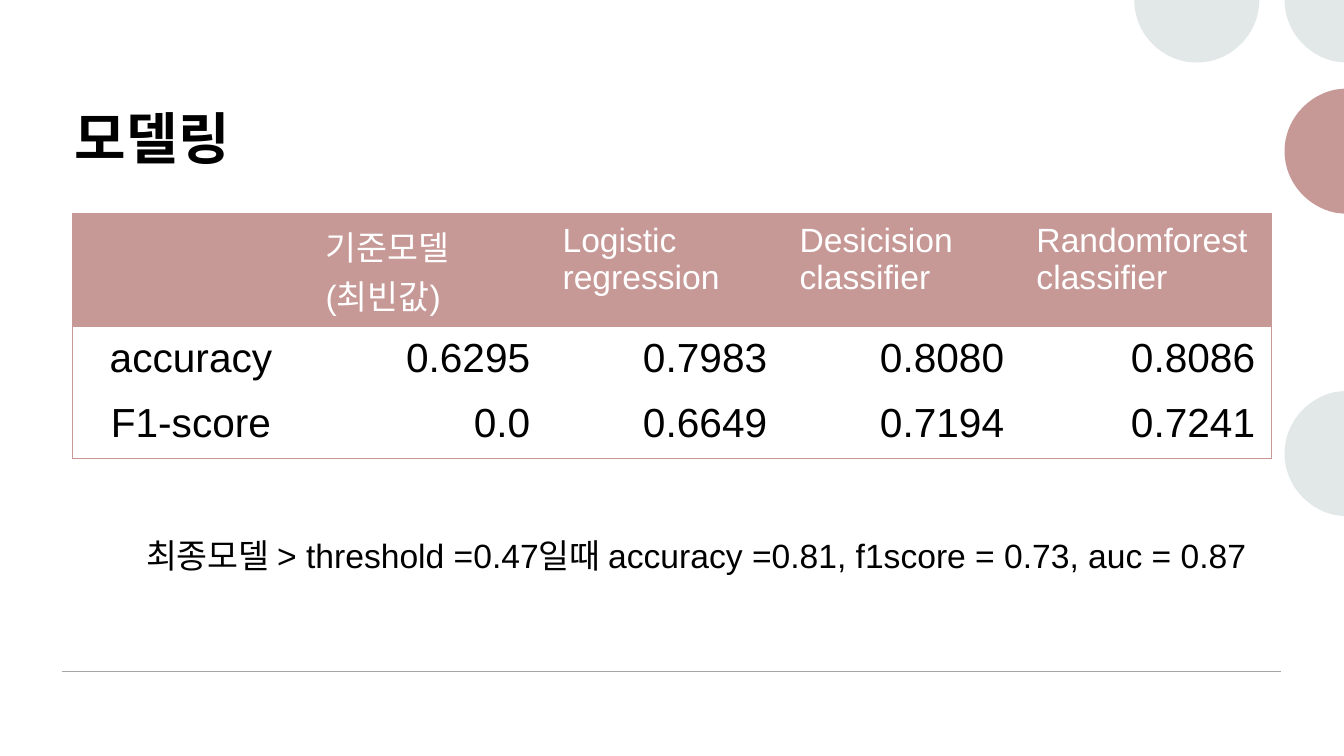
from lxml import etree
from pptx import Presentation
from pptx import util as u
from pptx.dml.color import RGBColor
from pptx.enum import shapes, text
from pptx.oxml import ns

WIDTH, HEIGHT = 13.33, 7.5
ROSE, MIST, GREY = "C69896", "E2E8E8", "A6A6A6"
BLACK, WHITE = "000000", "FFFFFF"
LEFT, CENTER, RIGHT = text.PP_ALIGN.LEFT, text.PP_ALIGN.CENTER, text.PP_ALIGN.RIGHT

HEADINGS = ["", "기준모델\n(최빈값)", "Logistic\nregression",
            "Desicision\nclassifier", "Randomforest\vclassifier"]
SCORES = [
    ["accuracy", "0.6295", "0.7983", "0.8080", "0.8086"],
    ["F1-score", "0.0", "0.6649", "0.7194", "0.7241"],
]
ROW_SIDES = ["T", "TB", "B"]


def color(value):
    return RGBColor.from_string(value)


class ModelPage:
    """Holds the style and the slide being built."""

    font = "Arial"

    def __init__(self, deck):
        self.page = deck.slides.add_slide(deck.slide_layouts[5])
        fill = self.page.background.fill
        fill.solid()
        fill.fore_color.rgb = color(WHITE)

    def style(self, frame, size, ink, align=LEFT, bold=False):
        for para in frame.paragraphs:
            para.alignment = align
            for span in para.runs:
                span.font.name = self.font
                span.font.size = u.Pt(size)
                span.font.bold = bold
                span.font.color.rgb = color(ink)

    def title(self, words, left, top, width, height):
        box = self.page.shapes.title
        box.left, box.top = u.Inches(left), u.Inches(top)
        box.width, box.height = u.Inches(width), u.Inches(height)
        frame = box.text_frame
        frame.text = words
        frame.word_wrap = True
        frame.auto_size = text.MSO_AUTO_SIZE.NONE
        frame.vertical_anchor = text.MSO_ANCHOR.TOP
        frame.margin_left = frame.margin_right = frame.margin_top = u.Inches(0.12)
        frame.margin_bottom = u.Inches(0.1)
        self.style(frame, 40, BLACK, bold=True)
        para = frame.paragraphs[0]
        para.line_spacing = 1.1
        para.space_before = u.Pt(0)
        para.runs[0].font._element.set("spc", "50")

    def outline(self, corners, curve, fill):
        """Join straight corners, then a curve of three points per Bézier piece."""
        points = [(u.Inches(x), u.Inches(y)) for x, y in corners + curve]
        builder = self.page.shapes.build_freeform(*points[0], scale=1.0)
        builder.add_line_segments(points[1:], close=True)
        shape = builder.convert_to_shape()
        lines = list(shape._element.iter(ns.qn("a:lnTo")))[len(corners) - 1:]
        for first in range(0, len(curve), 3):
            piece = lines[first:first + 3]
            bezier = etree.Element(ns.qn("a:cubicBezTo"))
            piece[0].addprevious(bezier)
            for line in piece:
                bezier.append(line[0])
                line.getparent().remove(line)
        shape.shadow.inherit = False
        shape.fill.solid()
        shape.fill.fore_color.rgb = color(fill)
        shape.line.fill.background()

    def top_disc(self, x, fill):
        """Lower half of a circle centred on the top edge."""
        self.outline([(x - 0.62, 0), (x + 0.62, 0)],
                     [(x + 0.62, 0.34), (x + 0.34, 0.62), (x, 0.62),
                      (x - 0.34, 0.62), (x - 0.62, 0.34), (x - 0.62, 0)], fill)

    def corner_disc(self, fill):
        self.outline([(12.74, 0), (WIDTH, 0), (WIDTH, 0.62), (13.24, 0.61)],
                     [(12.96, 0.55), (12.74, 0.3), (12.74, 0)], fill)

    def side_disc(self, y, fill):
        """Left half of a circle centred near the right edge."""
        self.outline([(WIDTH, y - 0.62), (WIDTH, y + 0.62), (13.24, y + 0.61)],
                     [(12.96, y + 0.55), (12.74, y + 0.3), (12.74, y),
                      (12.74, y - 0.3), (12.96, y - 0.55), (13.24, y - 0.61)], fill)

    def rule(self, x1, x2, y):
        line = self.page.shapes.add_connector(
            shapes.MSO_CONNECTOR.STRAIGHT,
            u.Inches(x1), u.Inches(y), u.Inches(x2), u.Inches(y))
        line.line.color.rgb = color(GREY)
        line.line.width = u.Pt(1)
        etree.SubElement(line._element.spPr, ns.qn("a:effectLst"))

    def borders(self, cell, sides):
        """Draw the given sides (of L, R, T, B) and clear the others."""
        properties = cell._tc.get_or_add_tcPr()
        for side in "LRTB":
            edge = etree.SubElement(properties, ns.qn(f"a:ln{side}"))
            if side in sides:
                edge.set("w", str(u.Pt(0.5)))
                paint = etree.SubElement(edge, ns.qn("a:solidFill"))
                etree.SubElement(paint, ns.qn("a:srgbClr")).set("val", ROSE)
            else:
                etree.SubElement(edge, ns.qn("a:noFill"))

    def table(self, rows, left, top, widths, heights):
        grid = self.page.shapes.add_table(
            len(rows), len(widths), u.Inches(left), u.Inches(top),
            u.Inches(sum(widths)), u.Inches(sum(heights))).table
        for column, width in zip(grid.columns, widths):
            column.width = u.Inches(width)
        last = len(widths) - 1
        for r, row in enumerate(rows):
            grid.rows[r].height = u.Inches(heights[r])
            for c, words in enumerate(row):
                cell = grid.cell(r, c)
                cell.margin_left = cell.margin_right = u.Inches(0.16)
                cell.margin_top = cell.margin_bottom = u.Inches(0.08)
                cell.text_frame.text = words
                ends = {0: "L", last: "R"}
                self.borders(cell, ROW_SIDES[r] + ends.get(c, ""))
                cell.fill.solid()
                cell.fill.fore_color.rgb = color(WHITE if r else ROSE)
                if r == 0:
                    self.style(cell.text_frame, 24, WHITE)
                else:
                    self.style(cell.text_frame, 29, BLACK, RIGHT if c else CENTER)

    def note(self, words, left, top, width, height):
        box = self.page.shapes.add_textbox(
            u.Inches(left), u.Inches(top), u.Inches(width), u.Inches(height))
        frame = box.text_frame
        frame.text = words
        frame.word_wrap = True
        frame.auto_size = text.MSO_AUTO_SIZE.SHAPE_TO_FIT_TEXT
        self.style(frame, 24, BLACK)


def main():
    deck = Presentation()
    deck.slide_width, deck.slide_height = u.Inches(WIDTH), u.Inches(HEIGHT)
    page = ModelPage(deck)
    page.title("모델링", 0.62, 0.84, 4.97, 1.74)
    page.top_disc(11.87, MIST)
    page.side_disc(4.5, MIST)
    page.side_disc(1.5, ROSE)
    page.corner_disc(MIST)
    page.rule(0.62, 12.71, 6.66)
    page.table([HEADINGS] + SCORES, 0.72, 2.12,
               [2.35] * 4 + [2.49], [0.94, 0.65, 0.65])
    page.note("최종모델 > threshold =0.47일때 accuracy =0.81, "
              "f1score = 0.73, auc = 0.87", 1.35, 5.26, 11.25, 0.5)
    deck.save("out.pptx")


if __name__ == "__main__":
    main()
